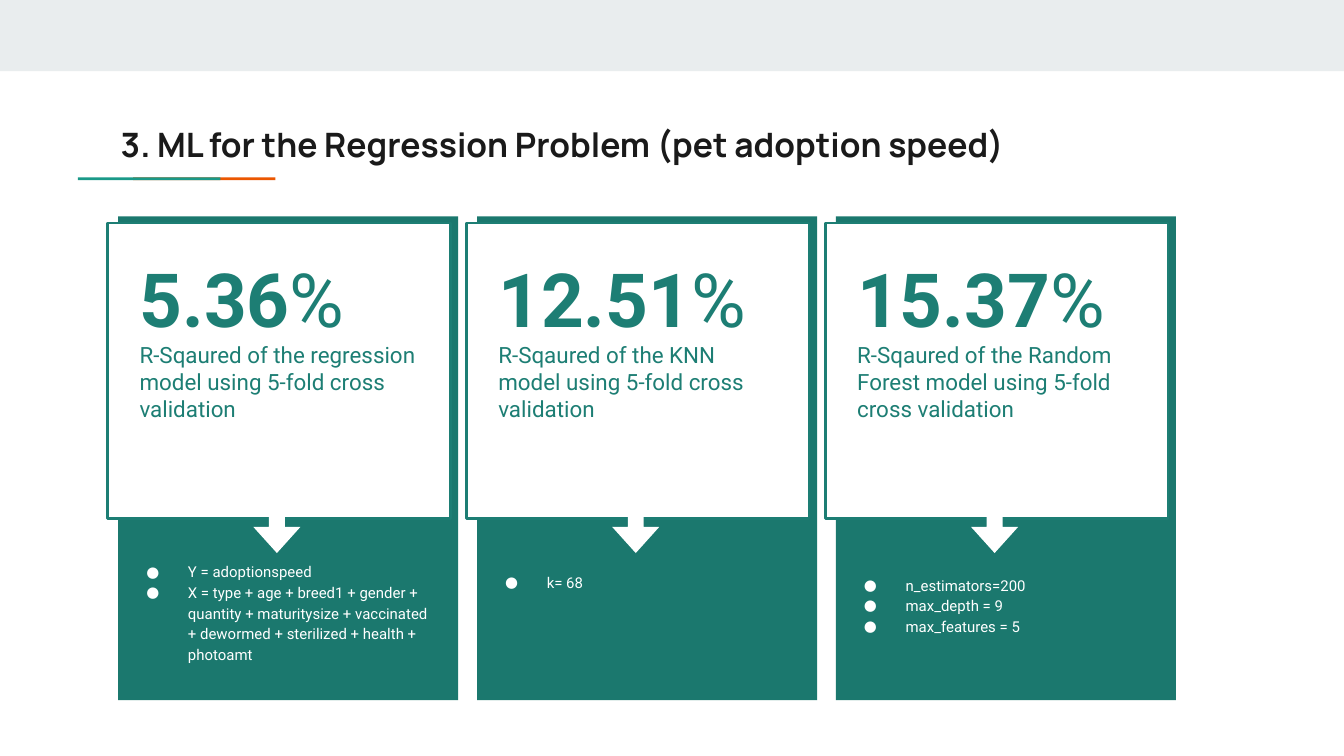
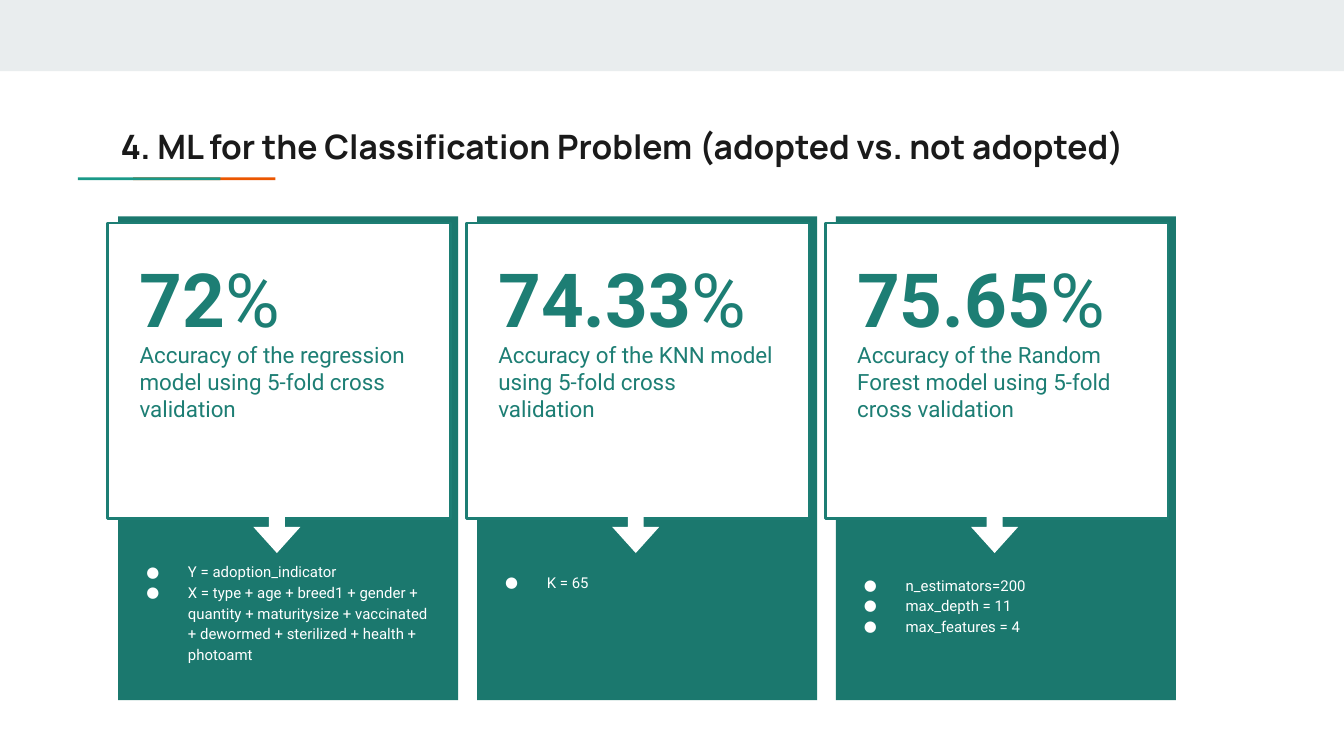
from lxml import etree
from pptx import Presentation
from pptx.dml.color import RGBColor
from pptx.enum.shapes import MSO_SHAPE
from pptx.oxml.ns import qn
from pptx.util import Inches, Pt

RECTANGLE = MSO_SHAPE.RECTANGLE
RIGHT_ARROW = MSO_SHAPE.RIGHT_ARROW

WHITE = RGBColor(0xFF, 0xFF, 0xFF)
BAND_GRAY = RGBColor(0xE9, 0xED, 0xEE)
ORANGE = RGBColor(0xEB, 0x56, 0x00)
ACCENT_TEAL = RGBColor(0x1A, 0x99, 0x88)
PANEL_TEAL = RGBColor(0x1B, 0x78, 0x6E)
TEXT_TEAL = RGBColor(0x1D, 0x7E, 0x74)
TITLE_BLACK = RGBColor(0x1A, 0x1A, 0x1A)
TITLE_FONT = "Manrope"
BODY_FONT = "Roboto"

# Content: title, title top, then cards of (score, description, parameters)
FEATURES = ("X = type + age + breed1 + gender + quantity + maturitysize + vaccinated "
            "+ dewormed + sterilized + health + photoamt")
SLIDES = [
    ("3. ML for the Regression Problem (pet adoption speed)", 0.82, [
        ("5.36", "R-Sqaured of the regression model using 5-fold cross validation",
         ["Y = adoptionspeed", FEATURES]),
        ("12.51", "R-Sqaured of the KNN model using 5-fold cross validation",
         ["k= 68"]),
        ("15.37", "R-Sqaured of the Random Forest model using 5-fold cross validation",
         ["n_estimators=200", "max_depth = 9", "max_features = 5"]),
    ]),
    ("4. ML for the Classification Problem (adopted vs. not adopted)", 0.84, [
        ("72", "Accuracy of the regression model using 5-fold cross validation",
         ["Y = adoption_indicator", FEATURES]),
        ("74.33", "Accuracy of the KNN model using 5-fold cross validation",
         ["K = 65"]),
        ("75.65", "Accuracy of the Random Forest model using 5-fold cross validation",
         ["n_estimators=200", "max_depth = 11", "max_features = 4"]),
    ]),
]

# Card grid; the first column's parameter list is longer and starts higher
CARD_LEFT = 0.8
CARD_STEP = 2.67
PARAMETER_BOXES = [(4.07, 1.44), (4.17, 0.96), (4.17, 0.96)]


def add_block(shapes, kind, left, top, width, height, fill, line=None):
    shape = shapes.add_shape(kind, Inches(left), Inches(top), Inches(width), Inches(height))
    shape.shadow.inherit = False
    shape.fill.solid()
    shape.fill.fore_color.rgb = fill
    if line is None:
        shape.line.fill.background()
    else:
        shape.line.color.rgb = line
        shape.line.width = Pt(1.5)
    return shape


def add_text(shapes, left, top, width, height, lines, size, color, font=BODY_FONT, bold=False):
    """Add a text box with one paragraph per line and return its paragraphs."""
    box = shapes.add_textbox(Inches(left), Inches(top), Inches(width), Inches(height))
    frame = box.text_frame
    frame.word_wrap = True
    frame.margin_left = frame.margin_right = Inches(0.1)
    frame.margin_top = frame.margin_bottom = Inches(0.1)
    frame.text = "\n".join(lines)
    for paragraph in frame.paragraphs:
        paragraph.font.name = font
        paragraph.font.size = Pt(size)
        paragraph.font.bold = bold
        paragraph.font.color.rgb = color
    return frame.paragraphs


def add_bullet(paragraph, color):
    paragraph.line_spacing = 1.15
    properties = paragraph._p.get_or_add_pPr()
    properties.set("marL", str(Inches(0.5)))
    properties.set("indent", str(Inches(-0.31)))
    bullet_color = etree.Element(qn("a:buClr"))
    etree.SubElement(bullet_color, qn("a:srgbClr"), val=str(color))
    bullet_font = etree.Element(qn("a:buFont"), typeface=BODY_FONT)
    bullet = etree.Element(qn("a:buChar"), char="●")
    # Bullet settings follow the spacing and precede the default run properties
    default_run = properties.find(qn("a:defRPr"))
    for element in (bullet_color, bullet_font, bullet):
        default_run.addprevious(element)


def add_header(slide, title, title_top):
    shapes = slide.shapes
    add_block(shapes, RECTANGLE, 0, 0, 10, 0.53, BAND_GRAY)
    # Two-colour rule below the title
    add_block(shapes, RECTANGLE, 0.99, 1.32, 1.06, 0.02, ORANGE)
    add_block(shapes, RECTANGLE, 0.58, 1.32, 1.06, 0.02, ACCENT_TEAL)
    add_text(shapes, CARD_LEFT, title_top, 8.41, 0.59, [title], 18, TITLE_BLACK,
             TITLE_FONT, bold=True)


def add_card(slide, column, score, description, parameters):
    shapes = slide.shapes.add_group_shape().shapes
    left = CARD_LEFT + column * CARD_STEP
    add_block(shapes, RECTANGLE, left + 0.08, 1.61, 2.53, 3.6, PANEL_TEAL)
    add_block(shapes, RECTANGLE, left, 1.66, 2.55, 2.2, WHITE, TEXT_TEAL)

    # Score and its meaning
    add_text(shapes, left + 0.14, 2.44, 2.26, 0.9, [description], 12, TEXT_TEAL)
    score_paragraph = add_text(shapes, left + 0.14, 1.78, 2.26, 0.6, [score], 40, TEXT_TEAL)[0]
    score_paragraph.runs[0].font.bold = True
    score_paragraph.add_run().text = "%"

    # Arrow down to the model parameters
    arrow = add_block(shapes, RIGHT_ARROW, left + 1.09, 3.77, 0.34, 0.35, WHITE)
    arrow.rotation = 90
    arrow.adjustments[0] = 0.34
    arrow.adjustments[1] = 0.57
    top, height = PARAMETER_BOXES[column]
    for paragraph in add_text(shapes, left, top, 2.53, height, parameters, 8, WHITE):
        add_bullet(paragraph, WHITE)


def main():
    presentation = Presentation()
    presentation.slide_width = Inches(10)
    presentation.slide_height = presentation.slide_width * 9 // 16
    blank_layout = presentation.slide_layouts[6]
    for title, title_top, cards in SLIDES:
        slide = presentation.slides.add_slide(blank_layout)
        add_header(slide, title, title_top)
        for column, card in enumerate(cards):
            add_card(slide, column, *card)
    presentation.save("out.pptx")


if __name__ == "__main__":
    main()
